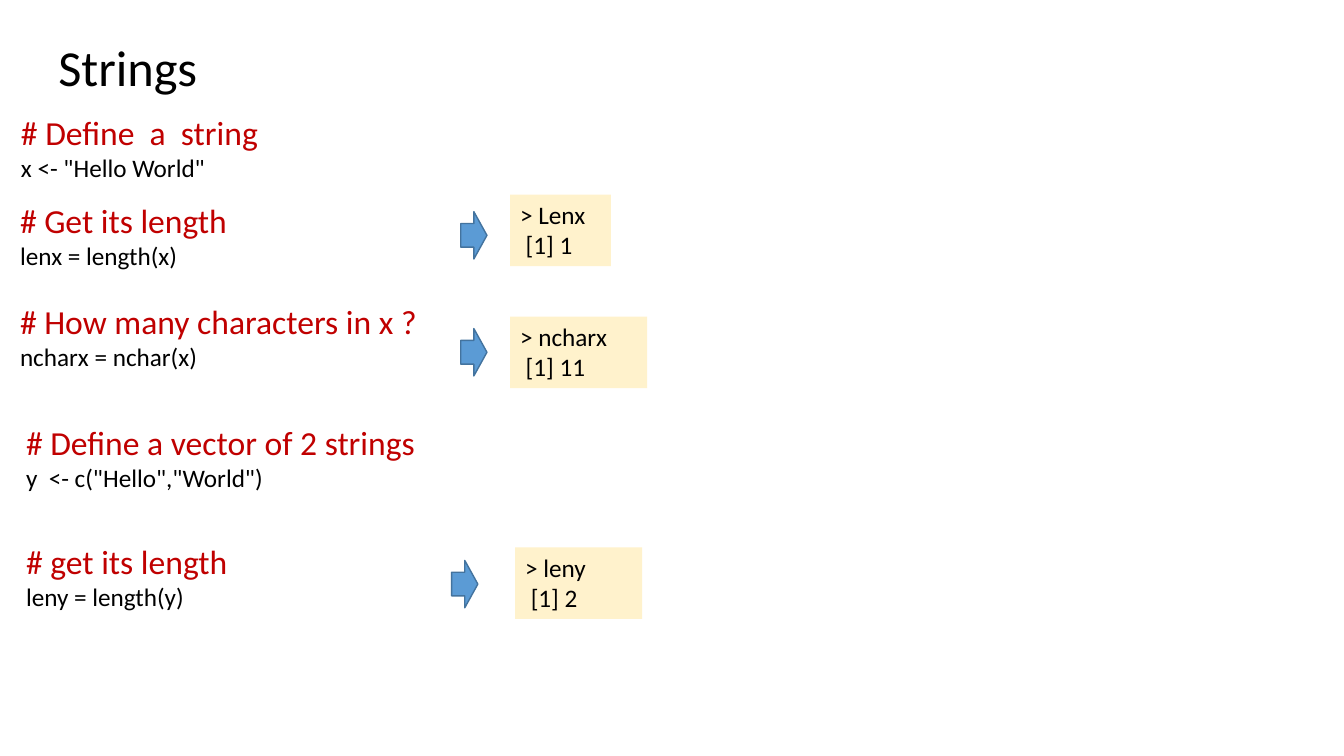
from dataclasses import dataclass

from pptx import Presentation
from pptx import util as u
from pptx.dml import color
from pptx.enum import shapes, text

HUES = {"ink": "000000", "note": "C00000", "box": "FFF2CC",
        "arrow": "5B9BD5", "edge": "43739E"}
FONT = "Calibri"


@dataclass
class Line:
    """One line of text with its size and colour."""
    words: str
    size: int = 18
    hue: str = "ink"


@dataclass
class Step:
    """A comment with the code below it."""
    left: float
    top: float
    width: float
    note: str
    code: str


@dataclass
class Result:
    """An arrow and the console output it points to."""
    arrow: tuple[float, float]
    left: float
    top: float
    width: float
    name: str
    value: int


STEPS = [
    Step(0.11, 1.06, 2.66, "# Define  a  string", 'x <- "Hello World"'),
    Step(0.1, 1.93, 2.35, "# Get its length", "lenx = length(x)"),
    Step(0.1, 2.94, 4.31, "# How many characters in x ?", "ncharx = nchar(x)"),
    Step(0.16, 4.14, 4.67, "# Define a vector of 2 strings",
         'y  <- c("Hello","World")'),
    Step(0.16, 5.32, 2.29, "# get its length", "leny = length(y)"),
]
RESULTS = [
    Result((4.57, 2.1), 5.06, 1.93, 1, "Lenx", 1),
    Result((4.57, 3.26), 5.06, 3.14, 1.36, "ncharx", 11),
    Result((4.48, 5.56), 5.11, 5.43, 1.26, "leny", 2),
]


def tint(hue: str) -> color.RGBColor:
    """Look up a named colour."""
    return color.RGBColor.from_string(HUES[hue])


def write(shape, lines: list[Line], anchor=text.MSO_ANCHOR.TOP) -> None:
    """Fill a shape with left-aligned lines, one run each."""
    frame = shape.text_frame
    frame.word_wrap = True
    frame.vertical_anchor = anchor
    for i, line in enumerate(lines):
        para = frame.add_paragraph() if i else frame.paragraphs[0]
        para.alignment = text.PP_ALIGN.LEFT
        run = para.add_run()
        run.text = line.words
        run.font.name = FONT
        run.font.size = u.Pt(line.size)
        run.font.color.rgb = tint(line.hue)


def add_text(slide, left: float, top: float, width: float, height: float):
    """Add an empty text box."""
    return slide.shapes.add_textbox(*map(u.Inches, (left, top, width, height)))


def add_form(slide, kind, left: float, top: float, width: float,
             height: float, fill: str):
    """Add a filled preset shape without shadow or outline."""
    form = slide.shapes.add_shape(
        kind, *map(u.Inches, (left, top, width, height)))
    form.shadow.inherit = False
    form.fill.solid()
    form.fill.fore_color.rgb = tint(fill)
    form.line.fill.background()
    return form


def draw_step(slide, step: Step) -> None:
    """Draw a comment and its code."""
    box = add_text(slide, step.left, step.top, step.width, 0.81)
    write(box, [Line(step.note, 24, "note"), Line(step.code)])


def draw_result(slide, res: Result) -> None:
    """Draw an arrow and its output box."""
    kind = shapes.MSO_SHAPE
    arrow = add_form(slide, kind.RIGHT_ARROW, *res.arrow, 0.26, 0.47, "arrow")
    arrow.line.color.rgb = tint("edge")
    arrow.line.width = u.Pt(1)
    box = add_form(slide, kind.RECTANGLE, res.left, res.top, res.width, 0.71,
                   "box")
    write(box, [Line(f"> {res.name}"), Line(f" [1] {res.value}")])


def main() -> None:
    """Build and save the slide."""
    deck = Presentation()
    deck.slide_width, deck.slide_height = u.Inches(13.33), u.Inches(7.5)
    slide = deck.slides.add_slide(deck.slide_layouts[6])
    title = add_text(slide, 0.48, 0.32, 9.17, 0.75)
    write(title, [Line("Strings", 36)], text.MSO_ANCHOR.MIDDLE)
    title.text_frame.paragraphs[0].line_spacing = 0.9
    for step in STEPS:
        draw_step(slide, step)
    for res in RESULTS:
        draw_result(slide, res)
    deck.save("out.pptx")


main()
